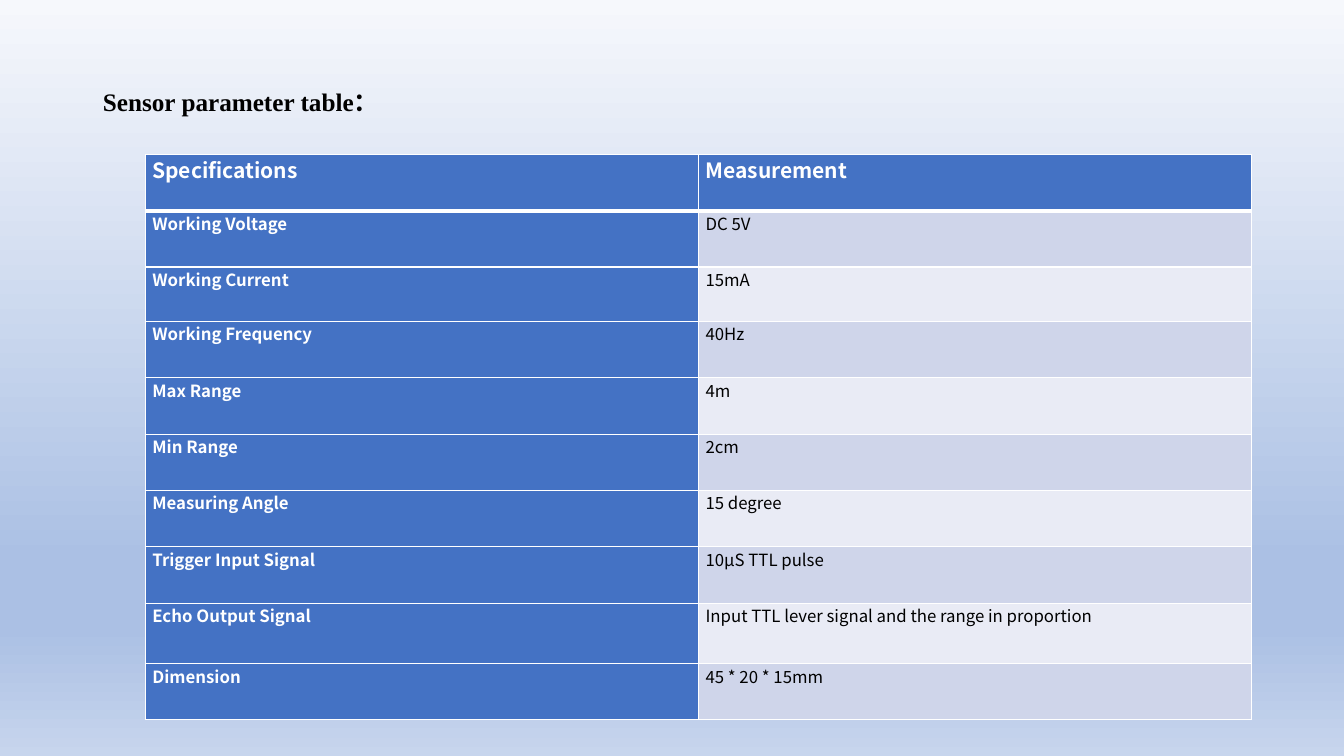
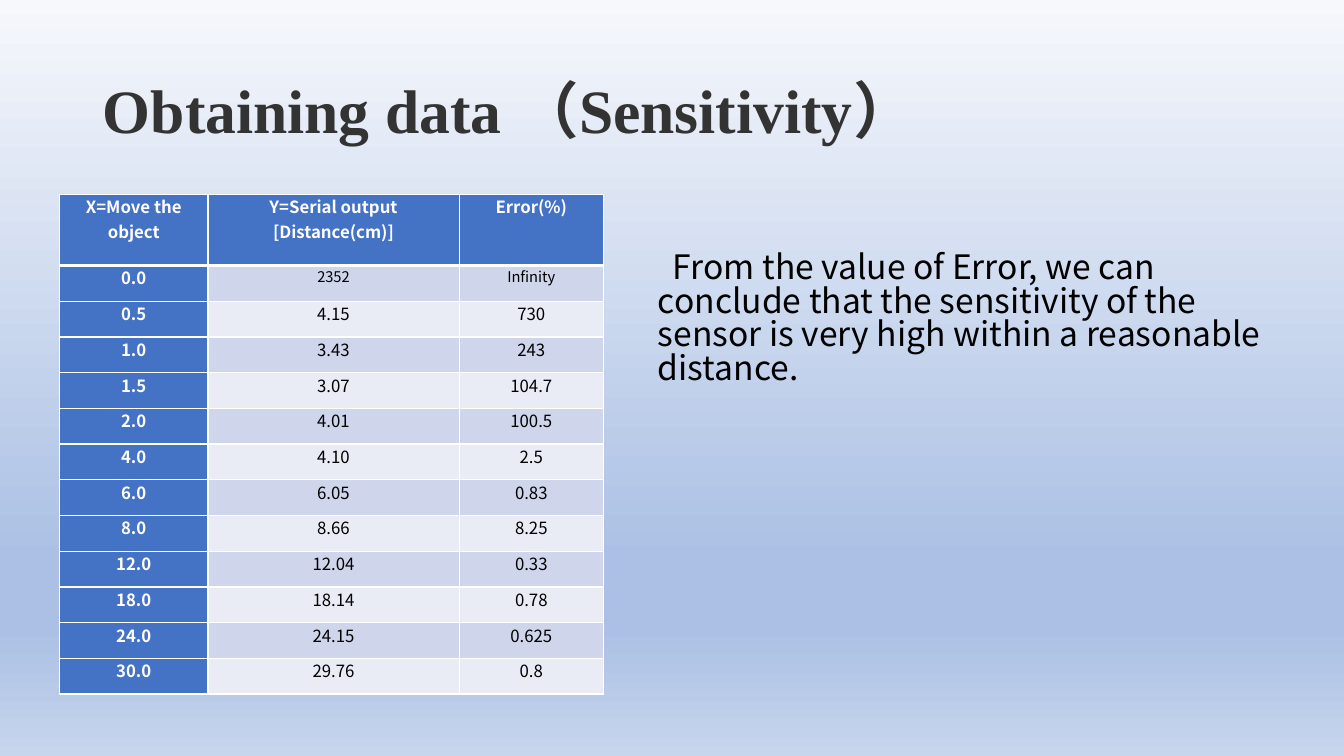
from lxml.etree import SubElement
from pptx import Presentation
from pptx.dml.color import RGBColor
from pptx.enum.text import MSO_ANCHOR, MSO_AUTO_SIZE, PP_ALIGN
from pptx.oxml.ns import qn
from pptx.util import Cm, Pt

BODY_FONT = "Noto Sans CJK SC"
TITLE_FONT = "Times New Roman"
BLACK, WHITE, CHARCOAL = "000000", "FFFFFF", "333333"
HEADER_BLUE = "4472C4"
BANDS = ["CFD5EA", "E9EBF5"]
BACKGROUND_STOPS = [(0, "F6F8FC"), (74, "ABC0E4"), (83, "ABC0E4"), (100, "C7D5ED")]
THIN, THICK = Pt(1), Pt(3)


def colour(code):
    """Turn a hex string into a colour."""
    return RGBColor.from_string(code)


def write(frame, text, code, frame_format, para_format, font_format):
    """Put one formatted paragraph in a text frame or cell and return it."""
    para = frame.paragraphs[0] if hasattr(frame, "paragraphs") else frame.text_frame.paragraphs[0]
    span = para.add_run()
    span.text = text
    span.font.color.rgb = colour(code)
    for target, values in ((frame, frame_format), (para, para_format), (span.font, font_format)):
        for name, value in values.items():
            setattr(target, name, value)
    SubElement(span.font._element, qn("a:ea"), typeface=BODY_FONT)
    return para


pages = [
    {
        "title": "Sensor parameter table：",
        "title_place": (2.34, 1.02, 30.56, 5),
        "title_size": 18,
        "title_colour": BLACK,
        "title_bottom": 1.98,
        "table_corner": (3.66, 3.89),
        "columns": [13.94, 13.94],
        "heights": [1.42, 1.42, 1.37, 1.42, 1.42, 1.42, 1.42, 1.42, 1.52, 1.42],
        "header_size": 15,
        "alignment": PP_ALIGN.JUSTIFY,
        "rows": [
            ("Specifications", "Measurement"),
            ("Working Voltage", "DC 5V"),
            ("Working Current", "15mA"),
            ("Working Frequency", "40Hz"),
            ("Max Range", "4m"),
            ("Min Range", "2cm"),
            ("Measuring Angle", "15 degree"),
            ("Trigger Input Signal", "10µS TTL pulse"),
            ("Echo Output Signal", "Input TTL lever signal and the range in proportion"),
            ("Dimension", "45 * 20 * 15mm"),
        ],
        "small_row": None,
        "conclusion": None,
    },
    {
        "title": "Obtaining data （Sensitivity）",
        "title_place": (2.34, 1.02, 29.21, 3.68),
        "title_size": 44,
        "title_colour": CHARCOAL,
        "title_bottom": 0.13,
        "table_corner": (1.5, 4.9),
        "columns": [3.74, 6.33, 3.64],
        "heights": [1.79] + [0.9] * 12,
        "header_size": 12,
        "alignment": PP_ALIGN.CENTER,
        "rows": [
            ("X=Move the object", "Y=Serial output [Distance(cm)]", "Error(%)"),
            ("0.0", "2352", "Infinity"),
            ("0.5", "4.15", "730"),
            ("1.0", "3.43", "243"),
            ("1.5", "3.07", "104.7"),
            ("2.0", "4.01", "100.5"),
            ("4.0", "4.10", "2.5"),
            ("6.0", "6.05", "0.83"),
            ("8.0", "8.66", "8.25"),
            ("12.0", "12.04", "0.33"),
            ("18.0", "18.14", "0.78"),
            ("24.0", "24.15", "0.625"),
            ("30.0", "29.76", "0.8"),
        ],
        "small_row": 1,
        "conclusion": "From the value of Error, we can conclude that the sensitivity "
                      "of the sensor is very high within a reasonable distance.",
    },
]

deck = Presentation()
deck.slide_width, deck.slide_height = Cm(33.87), Cm(19.05)

# Shared background gradient, running from top to bottom
master = deck.slide_master
backdrop = master.background.fill
backdrop.gradient()
backdrop.gradient_angle = 270
stops = master.element.find(".//" + qn("a:gsLst"))
for stop in list(stops):
    stops.remove(stop)
for percent, code in BACKGROUND_STOPS:
    stop = SubElement(stops, qn("a:gs"), pos=str(percent * 1000))
    SubElement(stop, qn("a:srgbClr"), val=code)

for content in pages:
    page = deck.slides.add_slide(deck.slide_layouts[5])

    # Title
    title = page.shapes.title
    title.left, title.top, title.width, title.height = map(Cm, content["title_place"])
    write(
        title.text_frame, content["title"], content["title_colour"],
        {"auto_size": MSO_AUTO_SIZE.NONE, "vertical_anchor": MSO_ANCHOR.MIDDLE,
         "word_wrap": True, "margin_bottom": Cm(content["title_bottom"])},
        {"alignment": PP_ALIGN.LEFT, "line_spacing": 0.9},
        {"name": TITLE_FONT, "size": Pt(content["title_size"]), "bold": True},
    )

    # Table with a blue header row and first column
    rows, columns, heights = content["rows"], content["columns"], content["heights"]
    left, top = content["table_corner"]
    table = page.shapes.add_table(
        len(rows), len(columns), Cm(left), Cm(top), Cm(sum(columns)), Cm(sum(heights))
    ).table
    table.first_col = True
    for column, width in zip(table.columns, columns):
        column.width = Cm(width)
    for row_number, texts in enumerate(rows):
        table.rows[row_number].height = Cm(heights[row_number])
        for column_number, text in enumerate(texts):
            cell = table.cell(row_number, column_number)
            is_header = row_number == 0
            is_blue = is_header or column_number == 0
            size = content["header_size"] if is_header else 12
            if row_number == content["small_row"] and not is_blue:
                size = 10.5
            write(
                cell, text, WHITE if is_blue else BLACK,
                {"margin_left": Cm(0.18), "margin_right": Cm(0.18),
                 "margin_top": 0, "margin_bottom": 0},
                {"alignment": content["alignment"]},
                {"name": BODY_FONT, "size": Pt(size), "bold": is_blue},
            )
            edges = {
                "a:lnL": THIN,
                "a:lnR": THIN,
                "a:lnT": THICK if row_number == 1 else THIN,
                "a:lnB": THICK if is_header else THIN,
            }
            properties = cell._tc.get_or_add_tcPr()
            for tag, weight in edges.items():
                edge = SubElement(properties, qn(tag), w=str(weight))
                SubElement(SubElement(edge, qn("a:solidFill")), qn("a:srgbClr"), val=WHITE)
            cell.fill.solid()
            cell.fill.fore_color.rgb = colour(HEADER_BLUE if is_blue else BANDS[(row_number - 1) % 2])

    # Conclusion beside the table
    if content["conclusion"]:
        box = page.shapes.add_textbox(Cm(16.33), Cm(6.25), Cm(16.41), Cm(3.33))
        para = write(
            box.text_frame, content["conclusion"], BLACK,
            {"word_wrap": True, "auto_size": MSO_AUTO_SIZE.SHAPE_TO_FIT_TEXT},
            {"alignment": PP_ALIGN.LEFT, "line_spacing": 0.83},
            {"name": BODY_FONT, "size": Pt(24)},
        )
        para._p.get_or_add_pPr().set("indent", str(Cm(0.38)))

deck.save("out.pptx")
